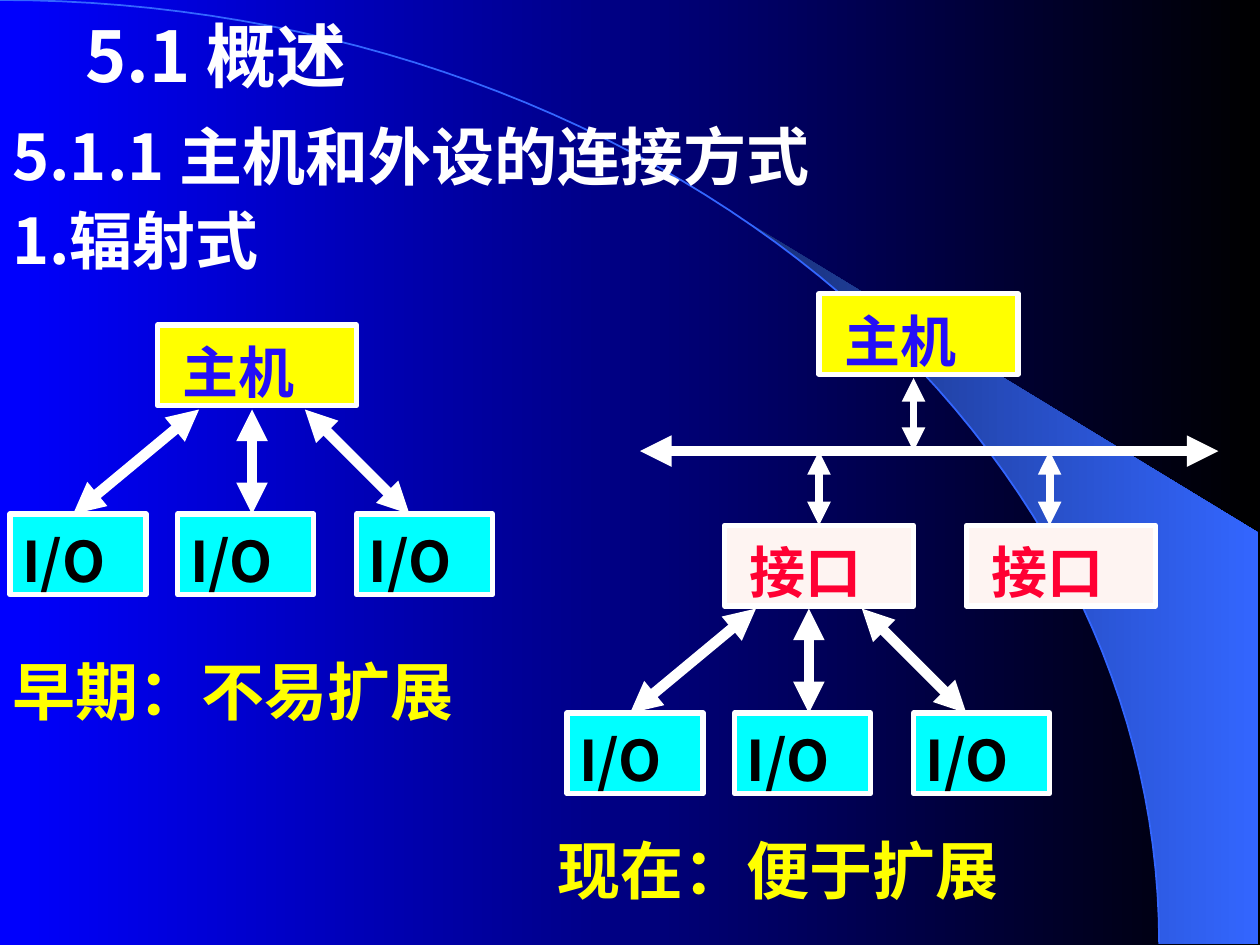
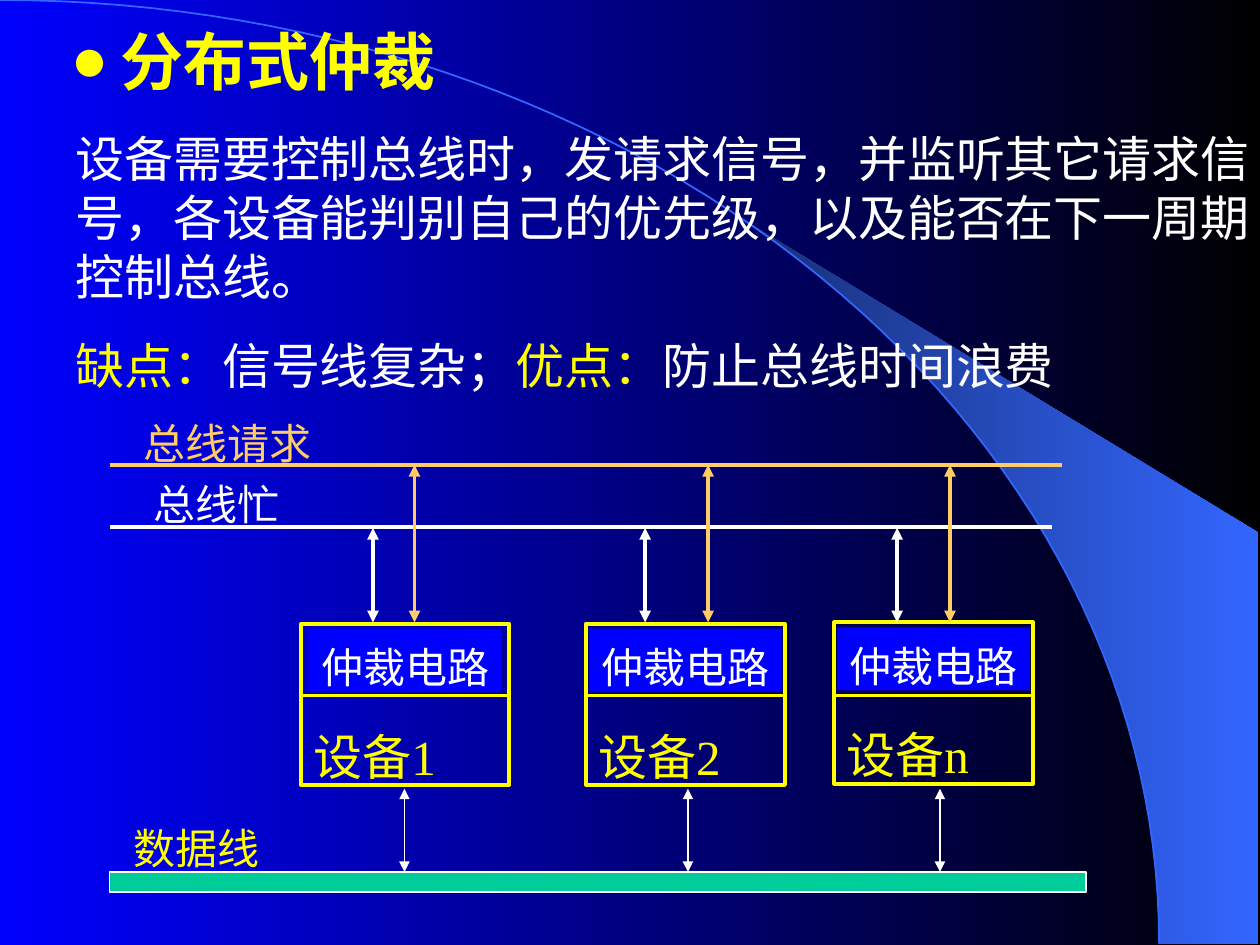
from math import asin, cos, pi, sin

from lxml.etree import SubElement
from pptx import Presentation
from pptx.dml.color import RGBColor
from pptx.enum.shapes import MSO_CONNECTOR as Connector, MSO_SHAPE as Shape
from pptx.enum.text import MSO_ANCHOR as Anchor, MSO_AUTO_SIZE as AutoSize, PP_ALIGN as Align
from pptx.oxml.ns import qn
from pptx.util import Inches, Pt

SANS, SERIF = "Noto Sans CJK SC", "Times New Roman"
WHITE, YELLOW, BLUE, BLACK = "FFFFFF", "FFFF00", "0000FF", "000000"
ORANGE, CYAN, GLOW = "FFCC66", "00FFFF", "3366FF"
LINE_HEIGHT = 1.2
ARC_WIDTH, ARC_HEIGHT = 9.2, 7.49
BOTTOM = 2  # connection site


def color(code):
    return RGBColor.from_string(code)


def apply(target, values):
    for name, value in values.items():
        setattr(target, name, value)


def paint_gradient(fill, start, end):
    fill.gradient()
    fill.gradient_angle = 0
    for stop, code in zip(fill.gradient_stops, (start, end)):
        stop.color.rgb = color(code)


# Text
def write(shape, paras, size, font=SANS, bold=False, wrap=True, anchor=Anchor.TOP):
    """Fill a shape; each paragraph is a list of (text, colour) spans."""
    frame = shape.text_frame
    apply(frame, {"word_wrap": wrap, "auto_size": AutoSize.NONE, "vertical_anchor": anchor,
                  "margin_left": Inches(0.1), "margin_right": Inches(0.1),
                  "margin_top": Inches(0.1), "margin_bottom": 0})
    for index, spans in enumerate(paras):
        para = frame.add_paragraph() if index else frame.paragraphs[0]
        apply(para, {"alignment": Align.LEFT, "line_spacing": Pt(size * LINE_HEIGHT),
                     "space_before": Pt(size * 0.625 if index else 0)})
        for text, code in spans:
            span = para.add_run()
            span.text = text
            apply(span.font, {"size": Pt(size), "bold": bold, "name": font})
            span.font.color.rgb = color(code)
            SubElement(span.font._element, qn("a:ea"), typeface=SANS)


def add_text(page, box, paras, size, **style):
    shape = page.shapes.add_textbox(*map(Inches, box))
    write(shape, paras, size, **style)


def set_title(page, box, text, code, size):
    title = page.shapes.title
    apply(title, dict(zip(("left", "top", "width", "height"), map(Inches, box))))
    write(title, [[(text, code)]], size, bold=True)
    return title


# Shapes and lines
def add_box(page, box, fill=None, line=None, weight=3.0):
    shape = page.shapes.add_shape(Shape.RECTANGLE, *map(Inches, box))
    shape.shadow.inherit = False
    if fill:
        shape.fill.solid()
        shape.fill.fore_color.rgb = color(fill)
    else:
        shape.fill.background()
    if line:
        shape.line.color.rgb = color(line)
        shape.line.width = Pt(weight)
    else:
        shape.line.fill.background()
    return shape


def add_line(page, start, end, code, weight, arrows=True):
    line = page.shapes.add_connector(Connector.STRAIGHT, *map(Inches, (*start, *end)))
    line.line.color.rgb = color(code)
    line.line.width = Pt(weight)
    if arrows:
        for tag in ("a:headEnd", "a:tailEnd"):
            SubElement(line.line._ln, qn(tag), type="triangle")
    SubElement(line._element.spPr, qn("a:effectLst"))
    return line


def add_outline(page, points, close):
    points = [tuple(map(Inches, point)) for point in points]
    builder = page.shapes.build_freeform(*points[0])
    builder.add_line_segments(points[1:], close=close)
    shape = builder.convert_to_shape()
    shape.shadow.inherit = False
    return shape


# Shared backdrop: gradient, light wedge and arc, kept in master and layout
def arc_points(start, steps=60):
    angles = [start + (pi / 2 - start) * step / steps for step in range(steps + 1)]
    return [(ARC_WIDTH * sin(angle), ARC_HEIGHT * (1 - cos(angle))) for angle in angles]


def add_backdrop(deck, layout, page):
    paint_gradient(deck.slide_master.background.fill, BLUE, BLACK)
    corner = [(9.99, ARC_HEIGHT), (9.99, 4.23)]
    wedge = add_outline(page, arc_points(asin(5.89 / ARC_WIDTH)) + corner, close=True)
    paint_gradient(wedge.fill, "182F76", GLOW)
    wedge.line.fill.background()
    arc = add_outline(page, arc_points(0), close=False)
    arc.fill.background()
    arc.line.color.rgb = color(GLOW)
    arc.line.width = Pt(1)
    for shape in (wedge, arc):
        layout.shapes._spTree.append(shape._element)


# Slide 1: radial connection
def add_node(page, left, top, width, fill, spans, font=SERIF):
    node = add_box(page, (left, top, width, 0.64), fill, WHITE)
    write(node, [spans], 32, font=font, bold=True)
    return node


def add_host(page, left, top):
    add_node(page, left, top, 1.58, YELLOW, [(" ", WHITE), ("主机", "250FF7")])


def add_interface(page, left, top):
    return add_node(page, left, top, 1.5, "FEF4F2", [(" ", WHITE), ("接口", "FF0033")])


def add_io_fan(page, left, top):
    for start, end in ((1.5, 0.5), (1.92, 1.92), (2.34, 3.17)):
        add_line(page, (left + start, top), (left + end, top + 0.83), WHITE, 6)
    for offset in (0, 1.33, 2.75):
        add_node(page, left + offset, top + 0.83, 1.08, CYAN, [("I/O", BLACK)], font=SANS)


def add_early_scheme(page, left, top):
    add_host(page, left + 1.25, top)
    add_io_fan(page, left + 0.08, top + 0.67)
    add_text(page, (left, top + 2.5, 4.17, 0.7), [[("早期：不易扩展", YELLOW)]], 36,
             font=SERIF, bold=True)


def add_current_scheme(page, left, top):
    bus = top + 1.25
    add_host(page, left + 2.17, top)
    first = add_interface(page, left + 1.42, top + 1.84)
    add_interface(page, left + 3.34, top + 1.84)
    add_line(page, (left + 0.75, bus), (left + 5.34, bus), WHITE, 6)
    add_line(page, (left + 2.92, top + 0.67), (left + 2.92, bus), WHITE, 4.5)
    link = add_line(page, (left + 2.17, bus), (left + 2.17, top + 1.84), WHITE, 4.5)
    link.end_connect(first, 0)
    add_line(page, (left + 4, bus), (left + 4, top + 1.84), WHITE, 4.5)
    add_io_fan(page, left + 0.17, top + 2.5)
    add_text(page, (left, top + 4.17, 4.17, 0.7), [[("现在：便于扩展", YELLOW)]], 36,
             font=SERIF, bold=True)


def build_connection_slide(page):
    set_title(page, (0.58, 0, 9.4, 0.77), "5.1 概述", WHITE, 40)
    for top, heading in ((0.83, "5.1.1 主机和外设的连接方式"), (1.5, "1.辐射式")):
        add_text(page, (0, top, 7.5, 0.7), [[(heading, WHITE)]], 36, bold=True)
    add_early_scheme(page, 0, 2.58)
    add_current_scheme(page, 4.33, 2.33)


# Slide 2: distributed arbitration
def add_bullet(title):
    props = title.text_frame.paragraphs[0]._p.get_or_add_pPr()
    props.set("marL", str(Inches(0.4)))
    props.set("indent", str(-Inches(0.4)))
    SubElement(SubElement(props, qn("a:buClr")), qn("a:srgbClr"), val=YELLOW)
    SubElement(props, qn("a:buFont"), typeface=SERIF)
    SubElement(props, qn("a:buChar"), char="●")


def add_device(page, box, name, busy, request, data):
    """Device box with its arrows to the two signal lines and the data bar."""
    left, top, width, height = box
    device = add_box(page, box, line=YELLOW, weight=2.25)
    write(device, [[(name, YELLOW)]], 28, font=SERIF, anchor=Anchor.BOTTOM)
    circuit = add_box(page, (left + (width - 1.53) / 2, top + 0.04, 1.53, 0.5), BLUE)
    write(circuit, [[("仲裁电路", WHITE)]], 24, font=SERIF, wrap=False)
    add_line(page, (left, 5.52), (left + width, 5.52), YELLOW, 2.25, arrows=False)
    add_line(page, (request, 3.69), (request, 4.94), ORANGE, 2.25)
    add_line(page, (busy, 4.19), (busy, 4.94), WHITE, 2.25)
    add_line(page, (data, 6.26), (data, 6.92), WHITE, 1)


def add_bus_diagram(page, left, top):
    signals = (("总线请求", ORANGE, 0.17, 0, 7.56), ("总线忙", WHITE, 0.25, 0.49, 7.48))
    for name, code, indent, drop, length in signals:
        level = top + 0.49 + drop
        add_line(page, (left, level), (left + length, level), code, 2.25, arrows=False)
        add_text(page, (left + indent, level - 0.48, 1.53, 0.5), [[(name, code)]], 24, wrap=False)
    devices = (
        ((2.39, 4.95, 1.65, 1.28), "设备1", 2.96, 3.29, 3.21),
        ((4.65, 4.95, 1.58, 1.28), "设备2", 5.12, 5.62, 5.46),
        ((6.62, 4.94, 1.58, 1.28), "设备n", 7.12, 7.54, 7.46),
    )
    for device in devices:
        add_device(page, *device)
    add_box(page, (left, top + 3.72, 7.75, 0.16), "00CC99", WHITE, 1)
    add_text(page, (left + 0.09, top + 3.23, 1.35, 0.5), [[("数据线", YELLOW)]], 24)


def build_arbitration_slide(page):
    title = set_title(page, (0.46, 0.08, 3.83, 0.77), "分布式仲裁", YELLOW, 36)
    add_bullet(title)
    add_text(page, (0.5, 0.92, 9.6, 2.21), [
        [("设备需要控制总线时，发请求信号，并监听其它请求信号，"
          "各设备能判别自己的优先级，以及能否在下一周期控制总线。", WHITE)],
        [("缺点：", YELLOW), ("信号线复杂；", WHITE),
         ("优点：", YELLOW), ("防止总线时间浪费", WHITE)],
    ], 28)
    add_bus_diagram(page, 0.87, 3.2)


def main():
    deck = Presentation()
    deck.slide_width, deck.slide_height = Inches(10), Inches(7.5)
    layout = deck.slide_layouts[5]
    pages = [deck.slides.add_slide(layout) for _ in range(2)]
    add_backdrop(deck, layout, pages[0])
    build_connection_slide(pages[0])
    build_arbitration_slide(pages[1])
    deck.save("out.pptx")


if __name__ == "__main__":
    main()
